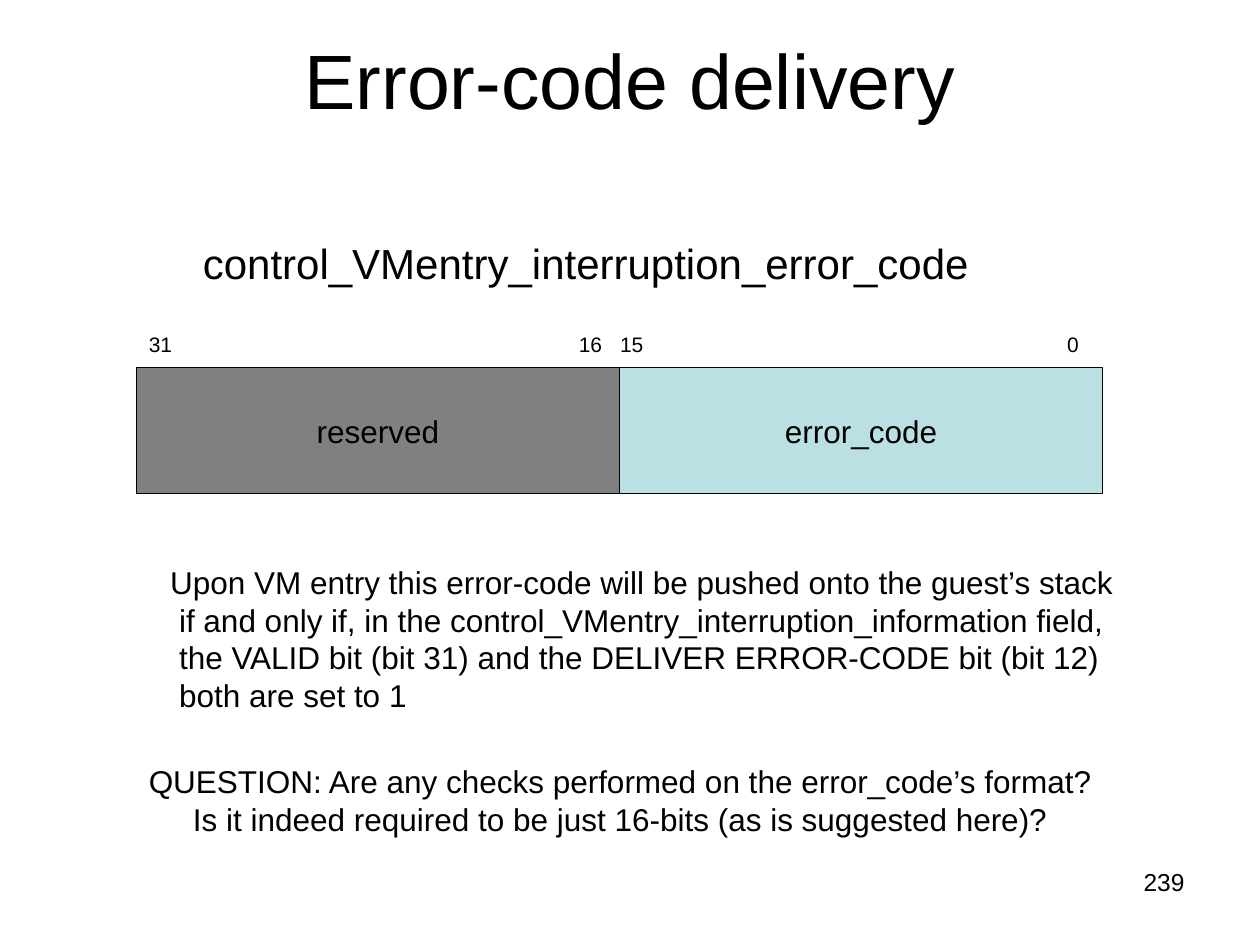
from lxml import etree
from pptx import Presentation
from pptx.dml.color import RGBColor
from pptx.enum.shapes import MSO_SHAPE
from pptx.enum.text import MSO_ANCHOR, PP_ALIGN
from pptx.oxml.ns import qn
from pptx.util import Cm, Pt

RECTANGLE = MSO_SHAPE.RECTANGLE
LEFT, CENTER, RIGHT = PP_ALIGN.LEFT, PP_ALIGN.CENTER, PP_ALIGN.RIGHT
TOP, MIDDLE = MSO_ANCHOR.TOP, MSO_ANCHOR.MIDDLE

TITLE = "Error-code delivery"
FIELD_NAME = "control_VMentry_interruption_error_code"
FIELDS = [("reserved", "808080"), ("error_code", "BBE0E3")]
BIT_NUMBERS = ["31", "16", "15", "0"]
BIT_TABS = [(9.14, "r"), (9.5, "l"), (18.75, "r")]
DELIVERY = [
    "Upon VM entry this error-code will be pushed onto the guest’s stack",
    "if and only if, in the control_VMentry_interruption_information field,",
    "the VALID bit (bit 31) and the DELIVER ERROR-CODE bit (bit 12)",
    "both are set to 1",
]
QUESTION = [
    "QUESTION: Are any checks performed on the error_code’s format?",
    "Is it indeed required to be just 16-bits (as is suggested here)?",
]
PAGE_NUMBER = "239"
FIELD_LEFT, FIELD_TOP, FIELD_WIDTH, FIELD_HEIGHT = 2.75, 7.41, 9.74, 2.54


def color(value):
    """Turn a hex string into a colour."""
    return RGBColor.from_string(value)


def write(shape, lines, size=18, align=LEFT, anchor=TOP, indent=0, tabs=()):
    """Fill a shape with lines, indenting all but the first."""
    frame = shape.text_frame
    frame.word_wrap = True
    frame.vertical_anchor = anchor
    for index, line in enumerate(lines):
        para = frame.add_paragraph() if index else frame.paragraphs[0]
        properties = para._p.get_or_add_pPr()
        if index and indent:
            properties.set("marL", str(Cm(indent)))
        if tabs:
            stops = etree.SubElement(properties, qn("a:tabLst"))
            for position, side in tabs:
                etree.SubElement(stops, qn("a:tab"), pos=str(Cm(position)), algn=side)
        para.alignment = align
        span = para.add_run()
        span.text = line
        span.font.name = "Arial"
        span.font.size = Pt(size)
        span.font.color.rgb = color("000000")


def add_text(page, place, lines, **style):
    """Add a text box at a place given in centimetres."""
    box = page.shapes.add_textbox(*map(Cm, place))
    write(box, lines, **style)


def add_field(page, left, name, fill):
    """Add one labelled bit field."""
    field = page.shapes.add_shape(
        RECTANGLE, Cm(left), Cm(FIELD_TOP), Cm(FIELD_WIDTH), Cm(FIELD_HEIGHT))
    field.shadow.inherit = False
    field.fill.solid()
    field.fill.fore_color.rgb = color(fill)
    field.line.color.rgb = color("000000")
    field.line.width = Pt(0.75)
    write(field, [name], align=CENTER, anchor=MIDDLE)


def main():
    """Build and save the slide."""
    deck = Presentation()
    deck.slide_width, deck.slide_height = Cm(25.4), Cm(19.05)
    page = deck.slides.add_slide(deck.slide_layouts[5])
    title = page.shapes.title
    title.left, title.top, title.width, title.height = map(Cm, (1.27, 0, 22.86, 3.18))
    write(title, [TITLE], size=44, align=CENTER, anchor=MIDDLE)
    add_text(page, (3.84, 4.66, 17.3, 1.28), [FIELD_NAME], size=24)
    for index, (name, fill) in enumerate(FIELDS):
        add_field(page, FIELD_LEFT + index * FIELD_WIDTH, name, fill)
    add_text(page, (FIELD_LEFT, 6.56, 19.54, 0.77), ["\t".join(BIT_NUMBERS)],
             size=12, tabs=BIT_TABS)
    add_text(page, (3.18, 11.22, 19.8, 3.3), DELIVERY, indent=0.18)
    add_text(page, (FIELD_LEFT, 15.24, 19.8, 1.78), QUESTION, indent=0.89)
    add_text(page, (18.2, 17.36, 5.93, 1.32), [PAGE_NUMBER], size=14, align=RIGHT)
    deck.save("out.pptx")


if __name__ == "__main__":
    main()
